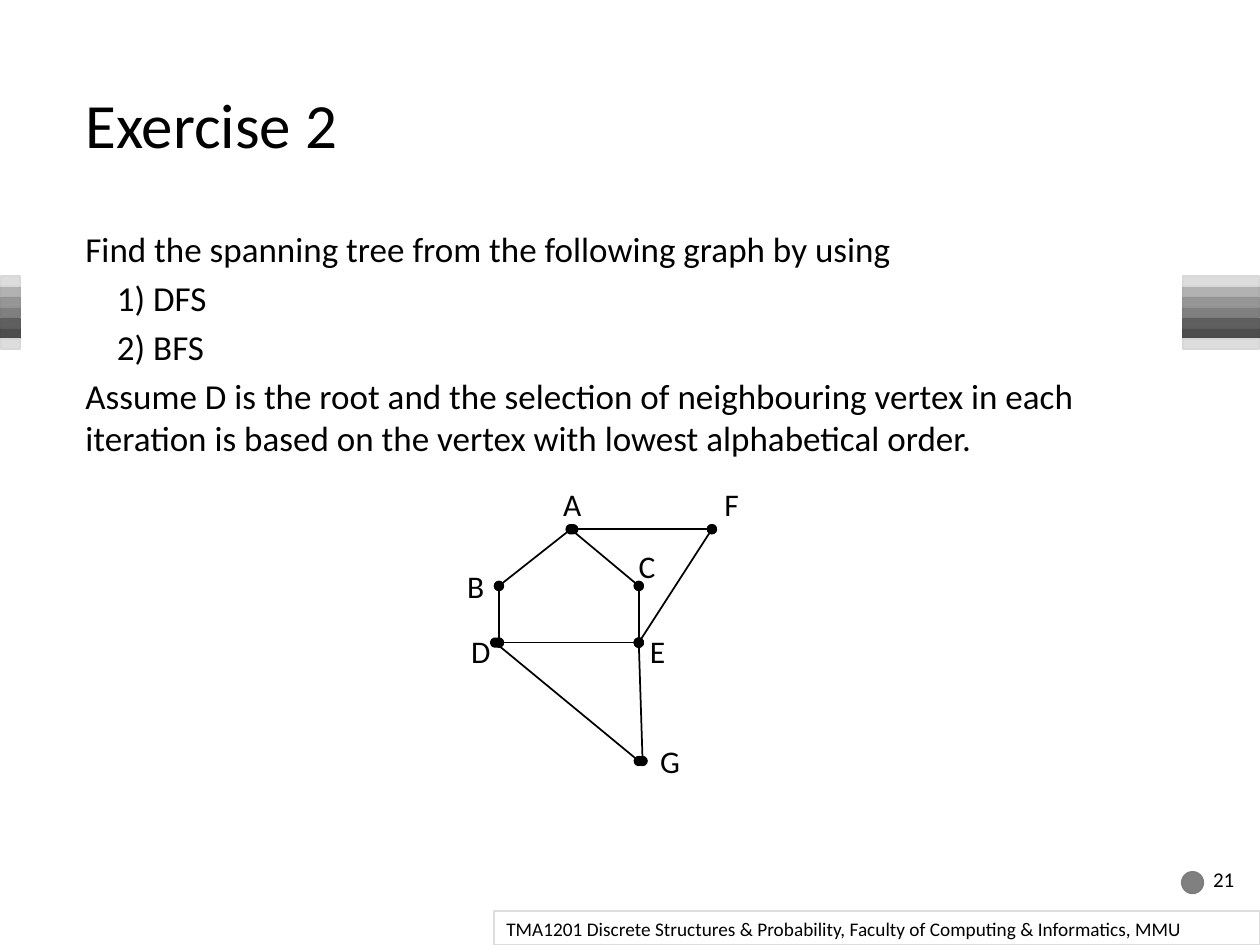
from lxml.etree import SubElement
from pptx import Presentation
from pptx.dml.color import RGBColor
from pptx.enum.shapes import MSO_CONNECTOR, MSO_SHAPE
from pptx.enum.text import MSO_ANCHOR, PP_ALIGN
from pptx.oxml.ns import qn
from pptx.util import Inches, Pt

COLUMNS, ROWS = 100, 75  # grid cells are a tenth of an inch square


def colour(value):
    return RGBColor.from_string(value)


class SlideBuilder:
    font = "Calibri"
    ink = "000000"

    def __init__(self, presentation):
        self.width = presentation.slide_width
        self.height = presentation.slide_height
        self.slide = presentation.slides.add_slide(presentation.slide_layouts[5])

    def x(self, columns):
        return round(self.width * columns / COLUMNS)

    def y(self, rows):
        return round(self.height * rows / ROWS)

    def place(self, left, top, width, height):
        return self.x(left), self.y(top), self.x(width), self.y(height)

    def fill_text(self, shape, lines, size, anchor=MSO_ANCHOR.TOP, wrap=True, gap=0):
        """Fill a shape with lines, each a pair of text and indent in columns."""
        frame = shape.text_frame
        frame.word_wrap = wrap
        frame.vertical_anchor = anchor
        for index, (text, indent) in enumerate(lines):
            paragraph = frame.add_paragraph() if index else frame.paragraphs[0]
            paragraph.alignment = PP_ALIGN.LEFT
            paragraph.space_before = Pt(gap if index else 0)
            if indent:
                paragraph._p.get_or_add_pPr().set("marL", str(self.x(indent)))
            run = paragraph.add_run()
            run.text = text
            run.font.name = self.font
            run.font.size = Pt(size)
            run.font.color.rgb = colour(self.ink)

    def title(self, text, box, size):
        shape = self.slide.shapes.title
        shape.left, shape.top, shape.width, shape.height = self.place(*box)
        self.fill_text(shape, [(text, 0)], size, MSO_ANCHOR.BOTTOM)

    def text(self, lines, box, size, **options):
        shape = self.slide.shapes.add_textbox(*self.place(*box))
        self.fill_text(shape, lines, size, **options)

    def shape(self, kind, box, fill, line, line_width=1):
        shape = self.slide.shapes.add_shape(kind, *self.place(*box))
        shape.shadow.inherit = False
        shape.fill.solid()
        shape.fill.fore_color.rgb = colour(fill)
        shape.line.color.rgb = colour(line)
        shape.line.width = Pt(line_width)
        return shape

    def edge(self, start, end):
        connector = self.slide.shapes.add_connector(
            MSO_CONNECTOR.STRAIGHT,
            self.x(start[0]), self.y(start[1]), self.x(end[0]), self.y(end[1]))
        connector.line.color.rgb = colour(self.ink)
        connector.line.width = Pt(1)
        line = connector.line._get_or_add_ln()
        for tip in ("a:headEnd", "a:tailEnd"):
            SubElement(line, qn(tip), type="oval")
        SubElement(connector._element.spPr, qn("a:effectLst"))


def main():
    presentation = Presentation()
    presentation.slide_width = Inches(10)
    presentation.slide_height = Inches(7.5)
    builder = SlideBuilder(presentation)

    # Striped bands at both edges: row, fill, line
    stripes = [
        (5, "4D4D4D", "4B4B4B"), (4, "5F5F5F", "5D5D5D"),
        (3, "808080", "7D7D7D"), (2, "969696", "939393"),
        (1, "B2B2B2", "AEAEAE"), (0, "DDDDDD", "D8D8D8"),
        (6, "DDDDDD", "D8D8D8"),
    ]
    for left, width in ((0.1, 1.5), (93.9, 6)):
        for row, fill, line in stripes:
            box = (left, 21.9 + row * 0.83, width, 0.8)
            builder.shape(MSO_SHAPE.RECTANGLE, box, fill, line)

    # Slide number with its dot
    builder.shape(MSO_SHAPE.OVAL, (93.8, 69.2, 1.7, 1.7), "808080", "7D7D7D")
    builder.text([("21", 0)], (95.3, 67.3, 4.7, 5), 12, anchor=MSO_ANCHOR.MIDDLE)

    # Title and task
    builder.title("Exercise 2", (5.8, 0.8, 84.2, 12.5), 36)
    task = [
        ("Find the spanning tree from the following graph by using", 0),
        ("1) DFS", 2.5),
        ("2) BFS", 2.5),
        ("Assume D is the root and the selection of neighbouring vertex in each "
         "iteration is based on the vertex with lowest alphabetical order.", 0),
    ]
    builder.text(task, (5.8, 17.6, 88.3, 41.3), 20, gap=4)

    # Graph edges; a few ends sit slightly beside their vertex
    vertices = {
        "A": (45.3, 42), "A right": (45.5, 42), "B": (39.6, 46.5),
        "C": (50.7, 46.5), "D": (39.6, 51), "D left": (39.3, 51),
        "E": (50.7, 51), "F": (56.5, 42), "G": (50.7, 60.4),
        "G right": (51, 60.4),
    }
    edges = [
        ("E", "G right"), ("A", "B"), ("B", "D"), ("D", "E"), ("C", "E"),
        ("F", "A right"), ("A", "C"), ("F", "E"), ("D left", "G"),
    ]
    for start, end in edges:
        builder.edge(vertices[start], vertices[end])

    # Vertex labels
    labels = {
        "A": (43.7, 38), "B": (36.1, 44.5), "C": (49.7, 42.9), "D": (36.4, 49.7),
        "E": (50.6, 49.7), "F": (56.5, 38), "G": (51.4, 58.4),
    }
    for letter, corner in labels.items():
        builder.text([(letter, 0)], (*corner, 3.5, 4), 18, wrap=False)

    # Footer
    footer = builder.shape(MSO_SHAPE.RECTANGLE, (39.2, 72.3, 60.8, 2.7),
                           "FFFFFF", "DDDDDD", 0.75)
    builder.fill_text(footer, [("TMA1201 Discrete Structures & Probability, "
                                "Faculty of Computing & Informatics, MMU", 0)], 11)

    presentation.save("out.pptx")


if __name__ == "__main__":
    main()
